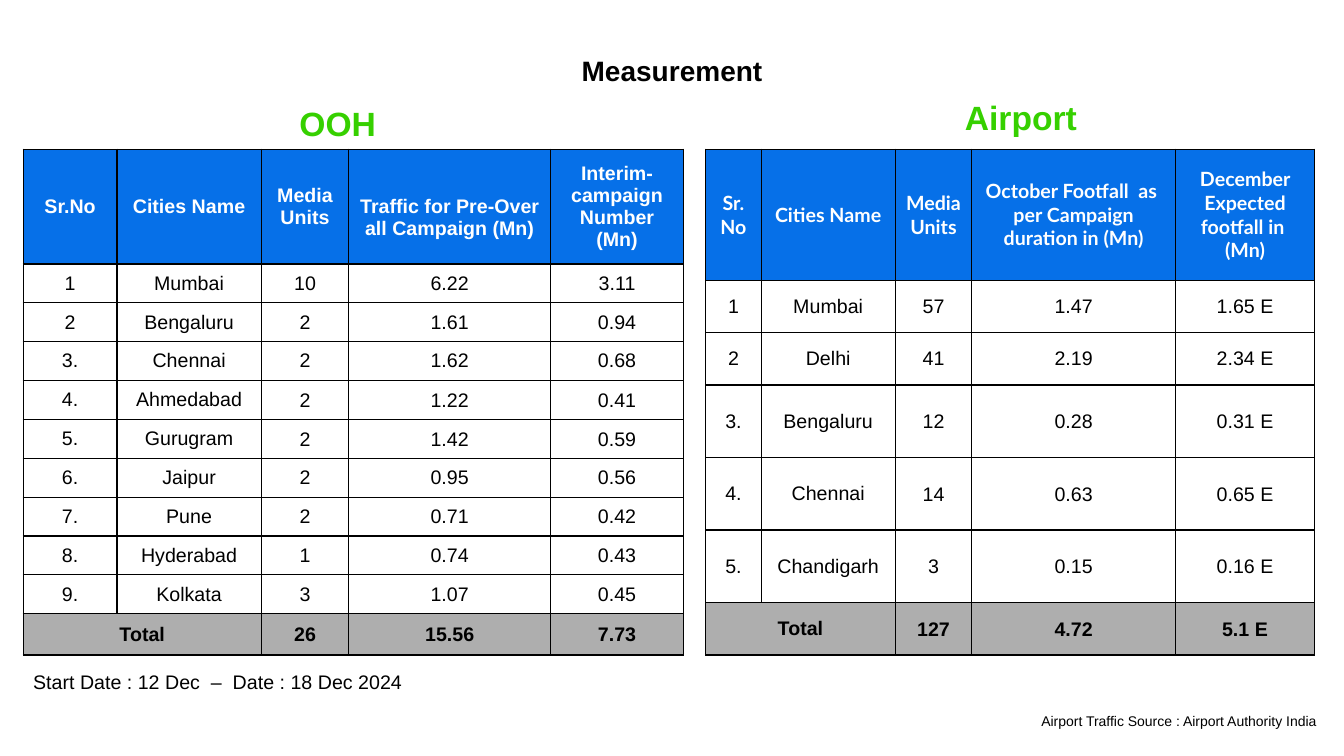
import pptx
import pptx.dml.color
import pptx.enum.text
import pptx.oxml
import pptx.oxml.ns
import pptx.util

Inches = pptx.util.Inches
Pt = pptx.util.Pt
RGBColor = pptx.dml.color.RGBColor
ALIGN = pptx.enum.text.PP_ALIGN
ANCHOR = pptx.enum.text.MSO_ANCHOR

BLACK = RGBColor(0x00, 0x00, 0x00)
WHITE = RGBColor(0xFF, 0xFF, 0xFF)
GREEN = RGBColor(0x36, 0xD0, 0x00)
BLUE = RGBColor(0x06, 0x70, 0xE8)
GREY = RGBColor(0xAE, 0xAE, 0xAE)

SLIDE_WIDTH = Inches(13.33)
SLIDE_HEIGHT = Inches(7.5)
FIRST_TIGHT_ROW = 4
FIRST_NUMBER_COLUMN = 2

OOH_ROWS = [
    ["Sr.No", "Cities Name", "Media Units", "Traffic for Pre-Over all Campaign (Mn)",
     "Interim-campaign Number (Mn)"],
    ["1", "Mumbai", "10", "6.22", "3.11"],
    ["2", "Bengaluru", "2", "1.61", "0.94"],
    ["3.", "Chennai", "2", "1.62", "0.68"],
    ["4.", "Ahmedabad", "2", "1.22", "0.41"],
    ["5.", "Gurugram", "2", "1.42", "0.59"],
    ["6.", "Jaipur", "2", "0.95", "0.56"],
    ["7.", "Pune", "2", "0.71", "0.42"],
    ["8.", "Hyderabad", "1", "0.74", "0.43"],
    ["9.", "Kolkata", "3", "1.07", "0.45"],
    ["Total", "", "26", "15.56", "7.73"],
]
AIRPORT_ROWS = [
    ["Sr.No", "Cities Name", "Media Units",
     "October Footfall  as  per Campaign duration in (Mn)",
     "December Expected footfall in  (Mn)"],
    ["1", "Mumbai", "57", "1.47", "1.65 E"],
    ["2", "Delhi", "41", "2.19", "2.34 E"],
    ["3.", "Bengaluru", "12", "0.28", "0.31 E"],
    ["4.", "Chennai", "14", "0.63", "0.65 E"],
    ["5.", "Chandigarh", "3", "0.15", "0.16 E"],
    ["Total", "", "127", "4.72", "5.1 E"],
]


def place(left, top, width, height):
    """Turn percentages of the slide into lengths."""
    return (int(SLIDE_WIDTH * left / 100), int(SLIDE_HEIGHT * top / 100),
            int(SLIDE_WIDTH * width / 100), int(SLIDE_HEIGHT * height / 100))


def style(para, size, color, bold=False, align=ALIGN.CENTER, font="Arial"):
    para.alignment = align
    para.font.name = font
    para.font.size = Pt(size)
    para.font.bold = bold
    para.font.color.rgb = color


def add_label(page, area, text, size, color=BLACK, bold=False,
              align=ALIGN.CENTER, anchor=ANCHOR.TOP):
    box = page.shapes.add_textbox(*place(*area))
    frame = box.text_frame
    frame.word_wrap = True
    frame.auto_size = pptx.enum.text.MSO_AUTO_SIZE.SHAPE_TO_FIT_TEXT
    frame.vertical_anchor = anchor
    frame.text = text
    style(frame.paragraphs[0], size, color, bold, align)


def add_borders(cell):
    properties = cell._tc.get_or_add_tcPr()
    for side in ("lnL", "lnR", "lnT", "lnB"):
        properties.append(pptx.oxml.parse_xml(
            f'<a:{side} {pptx.oxml.ns.nsdecls("a")} w="{Pt(1)}">'
            f'<a:solidFill><a:srgbClr val="{BLACK}"/></a:solidFill></a:{side}>'))


def set_padding(cell, side, top, bottom):
    cell.margin_left = cell.margin_right = Inches(side)
    cell.margin_top = Inches(top)
    cell.margin_bottom = Inches(bottom)


def share_out(tracks, total, weights):
    """Return the tracks with the total divided by weight."""
    return [(track, int(total * weight / sum(weights)))
            for track, weight in zip(tracks, weights)]


def add_city_table(page, area, rows, column_weights, row_weights, padding, header_font):
    left, top, width, height = place(*area)
    table = page.shapes.add_table(len(rows), len(rows[0]), left, top, width, height).table
    for column, size in share_out(table.columns, width, column_weights):
        column.width = size
    for row, size in share_out(table.rows, height, row_weights):
        row.height = size

    last = len(rows) - 1
    for r, values in enumerate(rows):
        is_header, is_total = r == 0, r == last
        for c, value in enumerate(values):
            cell = table.cell(r, c)
            add_borders(cell)
            cell.fill.solid()
            cell.fill.fore_color.rgb = BLUE if is_header else GREY if is_total else WHITE
            cell.vertical_anchor = ANCHOR.MIDDLE
            if r >= FIRST_TIGHT_ROW and c >= FIRST_NUMBER_COLUMN:
                set_padding(cell, 0.01, 0.01, 0)
            else:
                set_padding(cell, padding[0], padding[1], padding[1])
            cell.text = value
            style(cell.text_frame.paragraphs[0], 14, WHITE if is_header else BLACK,
                  bold=is_header or is_total,
                  font=header_font if is_header else "Arial")
    table.cell(last, 0).merge(table.cell(last, 1))
    return table


def main():
    deck = pptx.Presentation()
    deck.slide_width, deck.slide_height = SLIDE_WIDTH, SLIDE_HEIGHT
    page = deck.slides.add_slide(deck.slide_layouts[6])

    # Headings
    add_label(page, (0.53, 6.4, 98.95, 5.87), "Measurement", 20, bold=True)
    add_label(page, (9.6, 12.93, 31.06, 6.67), "OOH", 24, GREEN, True,
              anchor=ANCHOR.MIDDLE)
    add_label(page, (50.94, 12.13, 50.04, 10.8), "Airport", 24, GREEN, True)

    # Tables
    ooh = add_city_table(page, (1.73, 19.73, 49.14, 66.93), OOH_ROWS,
                         [93, 143, 87, 200, 132], [114] + [38.6] * 9 + [41],
                         (0.08, 0.03), "Arial")
    ooh.cell(0, 3).margin_top = Inches(0.25)  # lowers the traffic heading
    add_city_table(page, (52.51, 19.73, 45.31, 66.93), AIRPORT_ROWS,
                   [55, 133, 76, 202, 138], [130, 52, 52, 72, 72, 72, 52],
                   (0.1, 0.05), "Lato")

    # Footnotes
    add_label(page, (1.73, 88, 44.49, 4.53),
              "Start Date : 12 Dec  –  Date : 18 Dec 2024", 14, align=ALIGN.LEFT)
    add_label(page, (76.74, 93.6, 25.81, 3.6),
              "Airport Traffic Source : Airport Authority India", 10, align=ALIGN.LEFT)

    deck.save("out.pptx")


if __name__ == "__main__":
    main()
